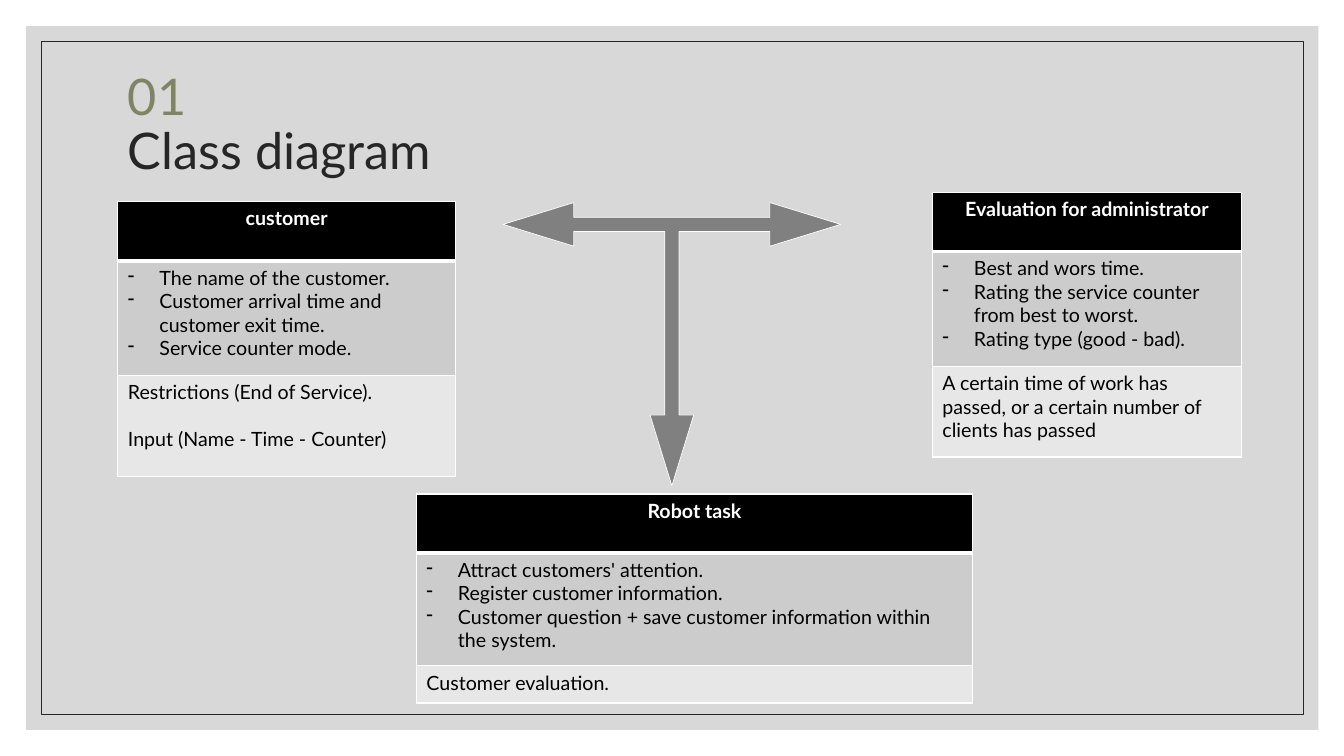
import pptx
import pptx.dml.color
import pptx.enum.shapes
import pptx.enum.text
import pptx.oxml
import pptx.oxml.ns
import pptx.util
from lxml import etree

Pt = pptx.util.Pt
SHAPES = pptx.enum.shapes.MSO_SHAPE
ALIGN = pptx.enum.text.PP_ALIGN
qn = pptx.oxml.ns.qn


def set_all(target, values):
    for key, value in values.items():
        setattr(target, key, value)


def paint(color_format, hex_color):
    color_format.rgb = pptx.dml.color.RGBColor.from_string(hex_color)


class ClassDiagram:
    font = "Lato"
    ink, accent, border = "262626", "7F8563", "FFFFFF"
    row_fills = ["000000", "CCCCCC", "E7E7E7"]
    title_size, text_size = 36, 14
    indent = 22.5

    def __init__(self, deck):
        self.slide = deck.slides.add_slide(deck.slide_layouts[5])

    def add_text(self, paragraph, text, color, size, bold=False):
        run = paragraph.add_run()
        run.text = text
        set_all(run.font, {"name": self.font, "size": Pt(size), "bold": bold})
        paint(run.font.color, color)

    def shape(self, kind, box, fill=None, line=None, opacity=100):
        shape = self.slide.shapes.add_shape(kind, *map(Pt, box))
        shape.shadow.inherit = False
        if fill:
            shape.fill.solid()
            paint(shape.fill.fore_color, fill)
            if opacity < 100:
                color = shape._element.spPr.find(qn("a:solidFill")).find(qn("a:srgbClr"))
                etree.SubElement(color, qn("a:alpha"), val=str(opacity * 1000))
        else:
            shape.fill.background()
        if line:
            paint(shape.line.color, line)
            shape.line.width = Pt(0.5)
        else:
            shape.line.fill.background()
        return shape

    def title(self, number, heading, box):
        title = self.slide.shapes.title
        # Bring the title in front of the panel
        self.slide.shapes._spTree.append(title._element)
        set_all(title, dict(zip(("left", "top", "width", "height"), map(Pt, box))))
        set_all(title.text_frame, {
            "word_wrap": True,
            "auto_size": pptx.enum.text.MSO_AUTO_SIZE.NONE,
            "vertical_anchor": pptx.enum.text.MSO_ANCHOR.MIDDLE})
        paragraph = title.text_frame.paragraphs[0]
        set_all(paragraph, {"alignment": ALIGN.LEFT, "line_spacing": 0.9})
        self.add_text(paragraph, number, self.accent, self.title_size)
        paragraph.add_line_break()
        self.add_text(paragraph, heading, self.ink, self.title_size)

    def cell_borders(self, cell, widths):
        properties = cell._tc.get_or_add_tcPr()
        for side, width in zip("LRTB", widths):
            line = etree.SubElement(properties, qn("a:ln" + side), w=str(Pt(width)))
            fill = etree.SubElement(line, qn("a:solidFill"))
            etree.SubElement(fill, qn("a:srgbClr"), val=self.border)

    def dash(self, paragraph):
        """Give a paragraph a dash bullet with a hanging indent."""
        properties = paragraph._p.get_or_add_pPr()
        properties.set("marL", str(Pt(self.indent)))
        properties.set("indent", str(-Pt(self.indent)))
        etree.SubElement(properties, qn("a:buChar"), char="-")

    def class_table(self, left, top, width, heights, name, attributes, operations):
        """Draw a class as three stacked cells: name, attributes, operations."""
        table = self.slide.shapes.add_table(
            3, 1, *map(Pt, (left, top, width, sum(heights)))).table
        table.horz_banding = False
        for row, lines in enumerate(([name], attributes, operations)):
            table.rows[row].height = Pt(heights[row])
            cell = table.cell(row, 0)
            self.cell_borders(cell, (1, 1, 3 if row == 1 else 1, 3 if row == 0 else 1))
            cell.fill.solid()
            paint(cell.fill.fore_color, self.row_fills[row])
            for index, line in enumerate(lines):
                frame = cell.text_frame
                paragraph = frame.add_paragraph() if index else frame.paragraphs[0]
                paragraph.alignment = ALIGN.LEFT if row else ALIGN.CENTER
                if row == 2 and index:
                    paragraph.space_before = Pt(16.8)
                if row == 1:
                    self.dash(paragraph)
                self.add_text(paragraph, line, "000000" if row else "FFFFFF",
                              self.text_size, bold=row == 0)


def main():
    deck = pptx.Presentation()
    set_all(deck, {"slide_width": Pt(960), "slide_height": Pt(540)})
    diagram = ClassDiagram(deck)

    diagram.shape(SHAPES.RECTANGLE, (18.7, 18.7, 923, 502.6), fill="BFBFBF", opacity=60)
    diagram.shape(SHAPES.RECTANGLE, (29.5, 29.5, 901.4, 481), line=diagram.ink)
    diagram.title("01", "Class diagram", (84.2, 36, 792, 108))

    diagram.class_table(
        84.2, 144, 241.2, (42.2, 82, 72), "customer",
        ["The name of the customer.",
         "Customer arrival time and customer exit time.",
         "Service counter mode."],
        ["Restrictions (End of Service).", "Input (Name - Time - Counter)"])
    diagram.class_table(
        666, 137.5, 221, (42.2, 82, 64.8), "Evaluation for administrator",
        ["Best and wors time.",
         "Rating the service counter from best to worst.",
         "Rating type (good - bad)."],
        ["A certain time of work has passed, or a certain number of clients has passed"])

    relations = diagram.shape(SHAPES.LEFT_RIGHT_UP_ARROW, (359.3, 144.7, 241.2, 202.3),
                              fill="808080", line="FFFFFF")
    relations.rotation = 180
    for index, ratio in enumerate((0.05, 0.077, 0.25)):
        relations.adjustments[index] = ratio

    diagram.class_table(
        297.4, 352.8, 397.4, (42.2, 80.6, 26.6), "Robot task",
        ["Attract customers' attention.",
         "Register customer information.",
         "Customer question + save customer information within the system."],
        ["Customer evaluation."])

    deck.save("out.pptx")


if __name__ == "__main__":
    main()
